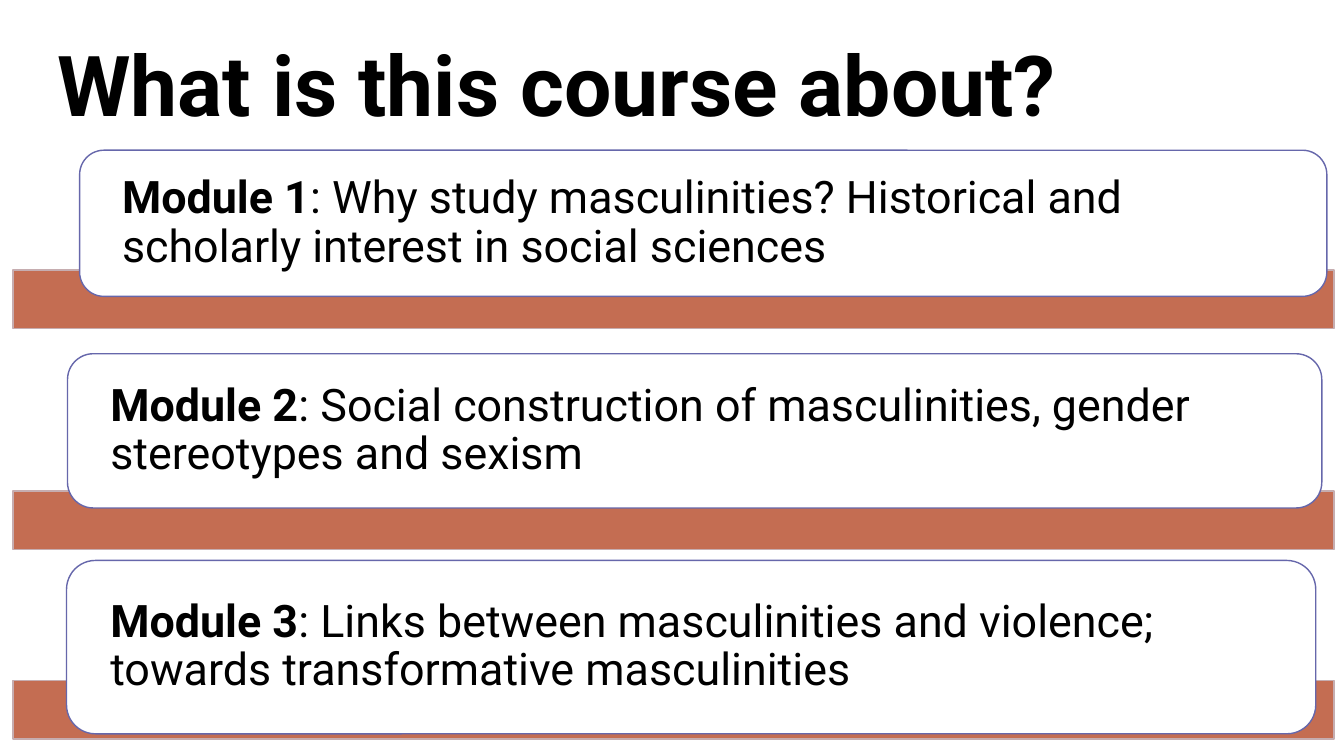
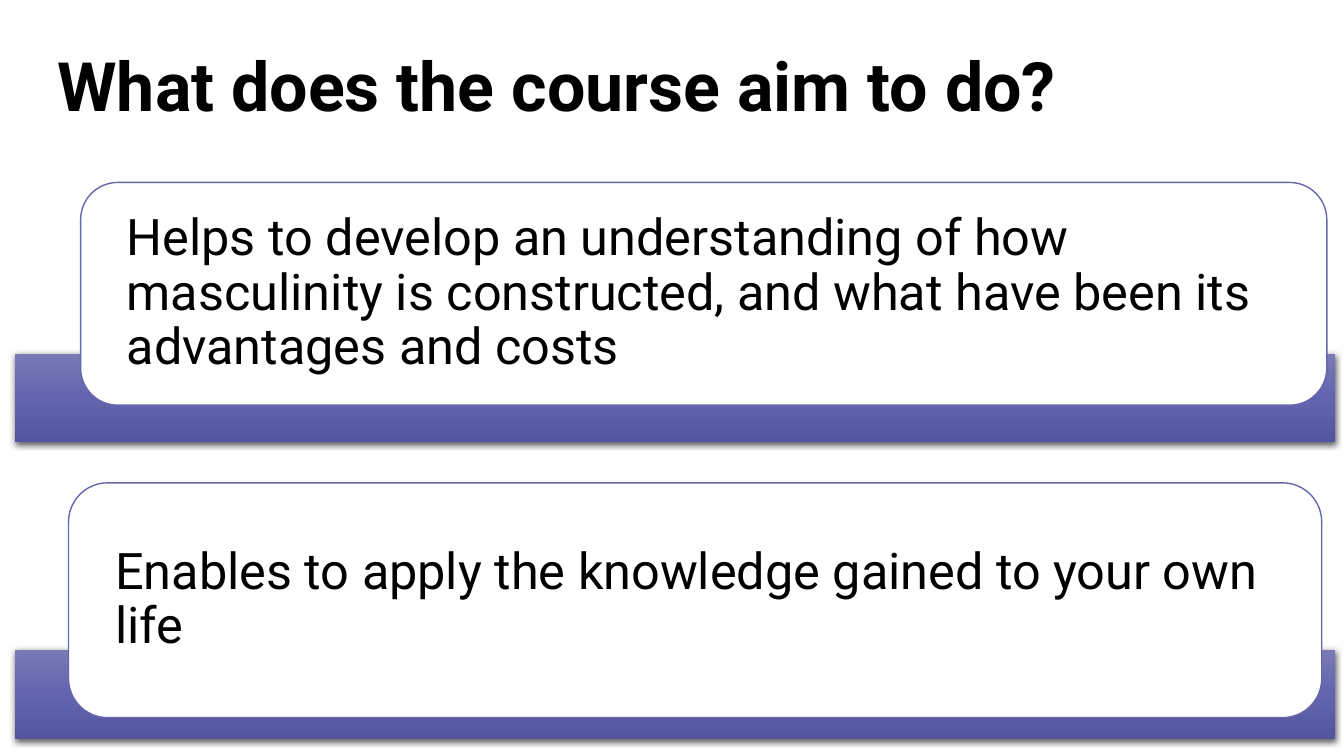
from copy import deepcopy

from lxml import etree
from pptx import Presentation
from pptx.dml.color import RGBColor
from pptx.enum import shapes, text
from pptx.oxml import parse_xml
from pptx.oxml.ns import nsdecls, qn
from pptx.util import Inches, Pt

FONT = "Roboto"
BLACK, WHITE = "000000", "FFFFFF"
VIOLET, CLAY, CLAY_EDGE = "6667AB", "BE5E40", "C6ADB0"
BAND_GRADIENT = ("797AB4", "6364AE", "54559F")


def color(value):
    return RGBColor.from_string(value)


def write(frame, parts, size):
    """Fill a frame with one paragraph of (words, bold) parts."""
    frame.word_wrap = True
    frame.vertical_anchor = text.MSO_ANCHOR.MIDDLE
    para = frame.paragraphs[0]
    para.alignment = text.PP_ALIGN.LEFT
    para.line_spacing = 0.9
    for words, bold in parts:
        span = para.add_run()
        span.text = words
        span.font.name = FONT
        span.font.size = Pt(size)
        span.font.bold = bold
        span.font.color.rgb = color(BLACK)


def add_title(page, words, size):
    box = page.shapes.add_textbox(*map(Inches, (0.47, 0.39, 10.65, 0.99)))
    write(box.text_frame, [(words, True)], size)


def add_block(page, kind, box):
    block = page.shapes.add_shape(kind, *map(Inches, box))
    block.shadow.inherit = False
    return block


def paint_clay(band):
    band.fill.solid()
    band.fill.fore_color.rgb = color(CLAY)
    tint = next(band._element.spPr.iter(qn("a:srgbClr")))
    etree.SubElement(tint, qn("a:alpha"), val="90000")
    band.line.color.rgb = color(CLAY_EDGE)
    band.line.width = Pt(1)


def paint_violet(band):
    """Vertical three-step gradient with a soft shadow below."""
    band.fill.gradient()
    band.fill.gradient_angle = 270
    first = next(band._element.spPr.iter(qn("a:gs")))
    first.addnext(deepcopy(first))
    for index, stop in enumerate(band.fill.gradient_stops):
        stop.position = index / 2
        stop.color.rgb = color(BAND_GRADIENT[index])
    band.line.fill.background()
    band._element.spPr.find(qn("a:effectLst")).append(parse_xml(
        f'<a:outerShdw {nsdecls("a")} blurRad="{Pt(4.5)}" dist="{Pt(1.5)}" '
        'dir="5400000" algn="ctr" rotWithShape="0">'
        f'<a:srgbClr val="{BLACK}"><a:alpha val="63000"/></a:srgbClr>'
        '</a:outerShdw>'))


def add_card(page, box, parts, size):
    card = add_block(page, shapes.MSO_SHAPE.ROUNDED_RECTANGLE, box)
    card.fill.solid()
    card.fill.fore_color.rgb = color(WHITE)
    card.line.color.rgb = color(VIOLET)
    card.line.width = Pt(1)
    frame = card.text_frame
    frame.margin_left = frame.margin_right = Inches(0.35)
    frame.margin_top = frame.margin_bottom = 0
    write(frame, parts, size)


def add_card_slide(deck, title, title_size, band, paint, rows, size):
    """A title above cards that each overlap a band (left, width, height)."""
    page = deck.slides.add_slide(deck.slide_layouts[6])
    add_title(page, title, title_size)
    left, width, height = band
    for band_top, card_box, parts in rows:
        paint(add_block(page, shapes.MSO_SHAPE.RECTANGLE,
                        (left, band_top, width, height)))
        add_card(page, card_box, parts, size)


def main():
    deck = Presentation()
    deck.slide_width, deck.slide_height = Inches(13.33), Inches(7.5)

    modules = [
        (2.68, (0.79, 1.49, 12.37, 1.45),
         "Why study masculinities? Historical and scholarly interest "
         "in social sciences"),
        (4.87, (0.67, 3.51, 12.44, 1.53),
         "Social construction of masculinities, gender stereotypes and sexism"),
        (6.75, (0.66, 5.56, 12.39, 1.72),
         "Links between masculinities and violence; towards transformative "
         "masculinities"),
    ]
    module_rows = [
        (top, box, [(f"Module {number}", True), (f": {topic}", False)])
        for number, (top, box, topic) in enumerate(modules, 1)]
    add_card_slide(deck, "What is this course about?", 60,
                   (0.13, 13.1, 0.58), paint_clay, module_rows, 32)

    aim_rows = [
        (3.51, (0.8, 1.81, 12.36, 2.21),
         [("Helps to develop an understanding of how masculinity is "
           "constructed, and what have been its advantages and costs", False)]),
        (6.45, (0.68, 4.79, 12.43, 2.33),
         [("Enables to apply the knowledge gained to your own life", False)]),
    ]
    add_card_slide(deck, "What does the course aim to do?", 48.6,
                   (0.15, 13.09, 0.88), paint_violet, aim_rows, 36)
    deck.save("out.pptx")


if __name__ == "__main__":
    main()
